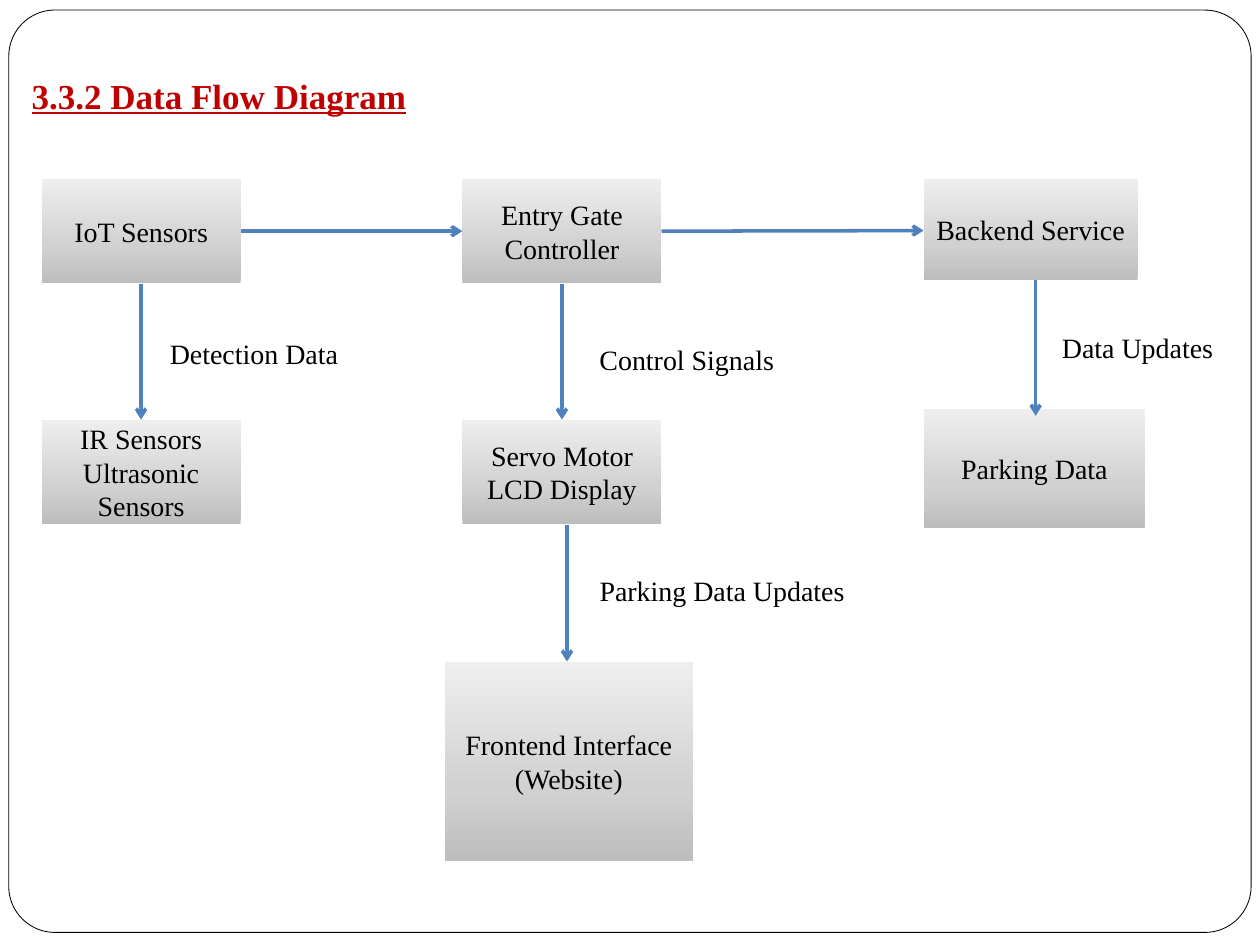
from lxml import etree
from pptx import Presentation
from pptx.dml.color import RGBColor
from pptx.enum import shapes, text
from pptx.oxml import parse_xml
from pptx.oxml.ns import nsdecls, qn
from pptx.util import Inches, Pt

COLORS = {"title": "C00000", "body": "000000", "arrow": "4F81BD", "frame": "000000"}
GRADIENT = [(0, "BDBDBD"), (35, "D1D1D1"), (100, "EEEEEE")]
TITLE = "3.3.2 Data Flow Diagram"
TITLE_FONT = {"name": "Times New Roman", "size": Pt(20), "bold": True, "underline": True}
BODY_FONT = {"name": "Times New Roman", "size": Pt(16)}

COLUMNS = [0.33, 3.67, 7.33]
NODE_SIZE = (1.58, 0.83)
NODES = {
    "iot": (["IoT Sensors"], COLUMNS[0], 1.42, *NODE_SIZE),
    "gate": (["Entry Gate", "Controller"], COLUMNS[1], 1.42, *NODE_SIZE),
    "backend": (["Backend Service"], COLUMNS[2], 1.42, 1.7, 0.8),
    "sensors": (["IR Sensors", "Ultrasonic Sensors"], COLUMNS[0], 3.33, *NODE_SIZE),
    "motor": (["Servo Motor", "LCD Display"], COLUMNS[1], 3.33, *NODE_SIZE),
    "parking": (["Parking Data"], COLUMNS[2], 3.25, 1.76, 0.94),
    "frontend": (["Frontend Interface", "(Website)"], 3.53, 5.25, 1.97, 1.58),
}
TOP, LEFT, BOTTOM, RIGHT = range(4)
FLOWS = [
    ((1.12, 2.25), (1.12, 3.33), ("iot", BOTTOM), ("sensors", TOP)),
    ((4.46, 2.25), (4.46, 3.33), ("gate", BOTTOM), ("motor", TOP)),
    ((8.22, 2.22), (8.22, 3.3), None, None),
    ((1.92, 1.83), (3.67, 1.83), ("iot", RIGHT), ("gate", LEFT)),
    ((5.25, 1.83), (7.33, 1.83), ("gate", RIGHT), None),
    ((4.5, 4.17), (4.5, 5.25), None, None),
]
LABELS = [
    ("Detection Data", 1.25, 2.62, 2.13, 0.37),
    ("Control Signals", 4.66, 2.67, 1.76, 0.42),
    ("Data Updates", 8.33, 2.57, 1.76, 0.42),
    ("Parking Data Updates", 4.66, 4.5, 2.59, 0.37),
]


def rgb(role):
    return RGBColor.from_string(COLORS[role])


def inches(values):
    return [Inches(value) for value in values]


def write(frame, lines, font, role, align, settings):
    for key, value in settings.items():
        setattr(frame, key, value)
    frame.text = "\n".join(lines)
    for paragraph in frame.paragraphs:
        paragraph.alignment = align
        for run in paragraph.runs:
            for key, value in font.items():
                setattr(run.font, key, value)
            run.font.color.rgb = rgb(role)


def shade(node):
    node.fill.gradient()
    gradient = node.fill._xPr.find(qn("a:gradFill"))
    stops = "".join(
        f'<a:gs pos="{position * 1000}"><a:srgbClr val="{color}"/></a:gs>'
        for position, color in GRADIENT
    )
    gradient.getparent().replace(gradient, parse_xml(
        f'<a:gradFill {nsdecls("a")} rotWithShape="1"><a:gsLst>{stops}</a:gsLst>'
        '<a:lin ang="16200000" scaled="0"/></a:gradFill>'
    ))


def add_frame(slide):
    border = slide.shapes.add_shape(
        shapes.MSO_SHAPE.ROUNDED_RECTANGLE, *inches((0.07, 0.08, 9.86, 7.32)))
    border.adjustments[0] = 0.05
    border.shadow.inherit = False
    border.fill.background()
    border.line.color.rgb = rgb("frame")
    border.line.width = Pt(0.48)
    slide.shapes._spTree.insert(2, border._element)


def add_title(slide):
    title = slide.shapes.title
    title.left, title.top, title.width, title.height = inches((0.25, 0.59, 9.49, 0.34))
    margins = dict.fromkeys(("margin_left", "margin_top", "margin_right", "margin_bottom"), 0)
    write(title.text_frame, [TITLE], TITLE_FONT, "title", text.PP_ALIGN.LEFT,
          {**margins, "vertical_anchor": text.MSO_ANCHOR.TOP, "word_wrap": True})


def add_node(slide, lines, *box):
    node = slide.shapes.add_shape(shapes.MSO_SHAPE.RECTANGLE, *inches(box))
    node.shadow.inherit = False
    shade(node)
    node.line.fill.background()
    write(node.text_frame, lines, BODY_FONT, "body", text.PP_ALIGN.CENTER,
          {"vertical_anchor": text.MSO_ANCHOR.MIDDLE, "word_wrap": True})
    return node


def add_flow(slide, nodes, start, end, source, target):
    flow = slide.shapes.add_connector(
        shapes.MSO_CONNECTOR.STRAIGHT, *inches(start + end))
    for join, site in ((flow.begin_connect, source), (flow.end_connect, target)):
        if site:
            name, side = site
            join(nodes[name], side)
    flow.line.color.rgb = rgb("arrow")
    flow.line.width = Pt(2)
    etree.SubElement(flow.line._get_or_add_ln(), qn("a:tailEnd"), type="arrow")
    etree.SubElement(flow._element.spPr, qn("a:effectLst"))


def add_label(slide, words, *box):
    label = slide.shapes.add_textbox(*inches(box))
    write(label.text_frame, [words], BODY_FONT, "body", text.PP_ALIGN.LEFT,
          {"word_wrap": True})


def main():
    deck = Presentation()
    deck.slide_width, deck.slide_height = inches((10, 7.5))
    slide = deck.slides.add_slide(deck.slide_layouts[5])
    add_frame(slide)
    add_title(slide)
    nodes = {name: add_node(slide, *node) for name, node in NODES.items()}
    for flow in FLOWS:
        add_flow(slide, nodes, *flow)
    for label in LABELS:
        add_label(slide, *label)
    deck.save("out.pptx")


if __name__ == "__main__":
    main()
